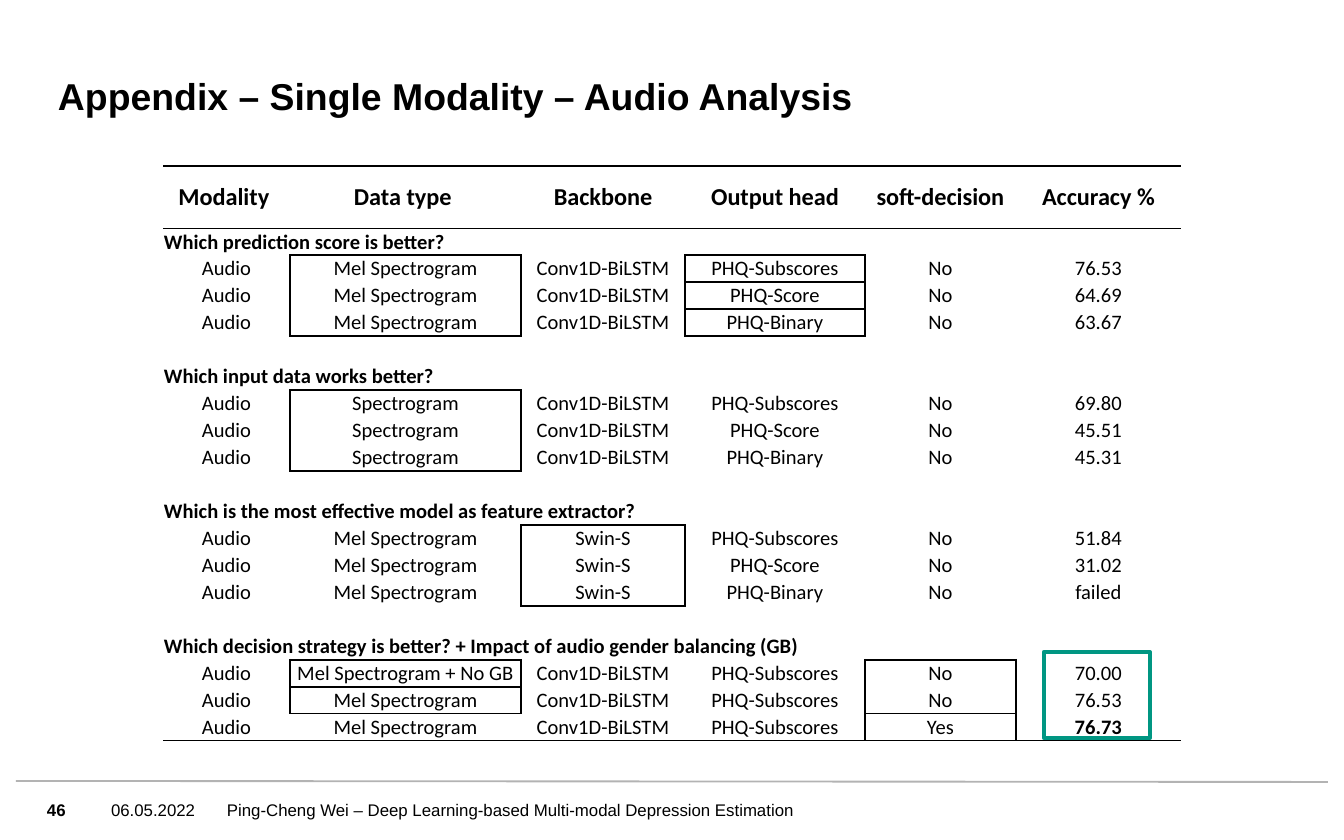
from lxml import etree
from pptx import Presentation
from pptx import util as u
from pptx.dml.color import RGBColor
from pptx.enum import shapes, text
from pptx.oxml.ns import qn

PX = 914400 / 134.4
COLORS = {"ink": "000000", "rule": "B3B3B3", "highlight": "009682"}


def px(value):
    return u.Emu(round(value * PX))


def add_run(paragraph, words, font, size, bold):
    run = paragraph.add_run()
    run.text = words
    run.font.name = font
    run.font.size = u.Pt(size)
    run.font.bold = bold
    run.font.color.rgb = RGBColor.from_string(COLORS["ink"])


presentation = Presentation()
presentation.slide_width = px(1344)
presentation.slide_height = px(840)
slide = presentation.slides.add_slide(presentation.slide_layouts[6])

footer_rule = slide.shapes.add_connector(
    shapes.MSO_CONNECTOR.STRAIGHT, px(16), px(781), px(1328), px(782)
)
footer_rule.line.color.rgb = RGBColor.from_string(COLORS["rule"])
footer_rule.line.width = u.Pt(1)
etree.SubElement(footer_rule._element.spPr, qn("a:effectLst"))

middle, bottom = text.MSO_ANCHOR.MIDDLE, text.MSO_ANCHOR.BOTTOM
labels = [
    ("Appendix – Single Modality – Audio Analysis", 58, 50, 1016, 68, 20, True, bottom),
    ("46", 47, 784, 48, 52, 9, True, middle),
    ("06.05.2022", 111, 784, 126, 52, 9, False, middle),
    ("Ping-Cheng Wei – Deep Learning-based Multi-modal Depression Estimation",
     227, 784, 699, 52, 9, False, middle),
]
for words, left, top, width, height, size, bold, anchor in labels:
    frame = slide.shapes.add_textbox(px(left), px(top), px(width), px(height)).text_frame
    frame.word_wrap = True
    frame.vertical_anchor = anchor
    frame.margin_left = frame.margin_right = frame.margin_top = frame.margin_bottom = 0
    add_run(frame.paragraphs[0], words, "Arial", size, bold)

header = ["Modality ", "Data type ", "Backbone", "Output head", "soft-decision", "Accuracy %"]
mel, spectrogram = "Mel Spectrogram", "Spectrogram"
lstm, swin = "Conv1D-BiLSTM", "Swin-S"
subscores, score, binary = "PHQ-Subscores", "PHQ-Score", "PHQ-Binary"
sections = [
    ("Which prediction score is better?", [
        (mel, lstm, subscores, "No", "76.53"),
        (mel, lstm, score, "No", "64.69"),
        (mel, lstm, binary, "No", "63.67"),
    ]),
    ("Which input data works better?", [
        (spectrogram, lstm, subscores, "No", "69.80"),
        (spectrogram, lstm, score, "No", "45.51"),
        (spectrogram, lstm, binary, "No", "45.31"),
    ]),
    ("Which is the most effective model as feature extractor?", [
        (mel, swin, subscores, "No", "51.84"),
        (mel, swin, score, "No", "31.02"),
        (mel, swin, binary, "No", "failed"),
    ]),
    ("Which decision strategy is better? + Impact of audio gender balancing (GB)", [
        ("Mel Spectrogram + No GB", lstm, subscores, "No", "70.00"),
        (mel, lstm, subscores, "No", "76.53"),
        (mel, lstm, subscores, "Yes", "76.73"),
    ]),
]
rows = [header]
for question, results in sections:
    if len(rows) > 1:
        rows.append([""] * 6)
    rows.append([question])
    rows += [["Audio", *result] for result in results]
last_row = len(rows) - 1

borders = {}
for column in range(6):
    borders[0, column, "T"] = 1
    borders[0, column, "B"] = borders[1, column, "T"] = 0.5
    borders[last_row, column, "B"] = 1

boxes = [
    (2, 4, 1), (2, 2, 3), (3, 3, 3), (4, 4, 3), (7, 9, 1), (12, 14, 2),
    (17, 17, 1), (18, 18, 1), (17, 18, 4), (19, 19, 4),
]
for first, last, column in boxes:
    borders[first, column, "T"] = borders[first - 1, column, "B"] = 1
    borders[last, column, "B"] = borders[last + 1, column, "T"] = 1
    for row in range(first, last + 1):
        borders[row, column, "L"] = borders[row, column - 1, "R"] = 1
        borders[row, column, "R"] = borders[row, column + 1, "L"] = 1

column_widths = [127, 231, 164, 180, 151, 165]
row_heights = [62] + [27] * last_row
table = slide.shapes.add_table(
    len(rows), 6, px(163), px(166), px(sum(column_widths)), px(sum(row_heights))
).table
table.first_row = False
table.horz_banding = False
for column, width in enumerate(column_widths):
    table.columns[column].width = px(width)

for row, values in enumerate(rows):
    table.rows[row].height = px(row_heights[row])
    is_question = len(values) == 1
    if is_question:
        table.cell(row, 0).merge(table.cell(row, 5))
    for column in range(6):
        cell = table.cell(row, column)
        cell.margin_left = cell.margin_right = cell.margin_top = px(1)
        cell.margin_bottom = 0
        cell.vertical_anchor = middle
        properties = cell._tc.get_or_add_tcPr()
        for side in "LRTB":
            width = borders.get((row, column, side))
            line = etree.SubElement(properties, qn(f"a:ln{side}"))
            if width:
                line.set("w", str(u.Pt(width)))
                fill = etree.SubElement(line, qn("a:solidFill"))
                etree.SubElement(fill, qn("a:srgbClr"), val=COLORS["ink"])
            else:
                etree.SubElement(line, qn("a:noFill"))
        cell.fill.background()

        paragraph = cell.text_frame.paragraphs[0]
        words = values[column] if column < len(values) else ""
        if words:
            if not is_question:
                paragraph.alignment = text.PP_ALIGN.CENTER
            bold = row == 0 or is_question or (row, column) == (last_row, 5)
            add_run(paragraph, words, "Calibri", 13 if row == 0 else 11, bold)
        else:
            etree.SubElement(paragraph._p, qn("a:endParaRPr"), sz="1100")

highlight = slide.shapes.add_shape(
    shapes.MSO_SHAPE.RECTANGLE, px(1044), px(652), px(106), px(86)
)
highlight.shadow.inherit = False
highlight.fill.background()
highlight.line.color.rgb = RGBColor.from_string(COLORS["highlight"])
highlight.line.width = u.Pt(2.25)

presentation.save("out.pptx")
